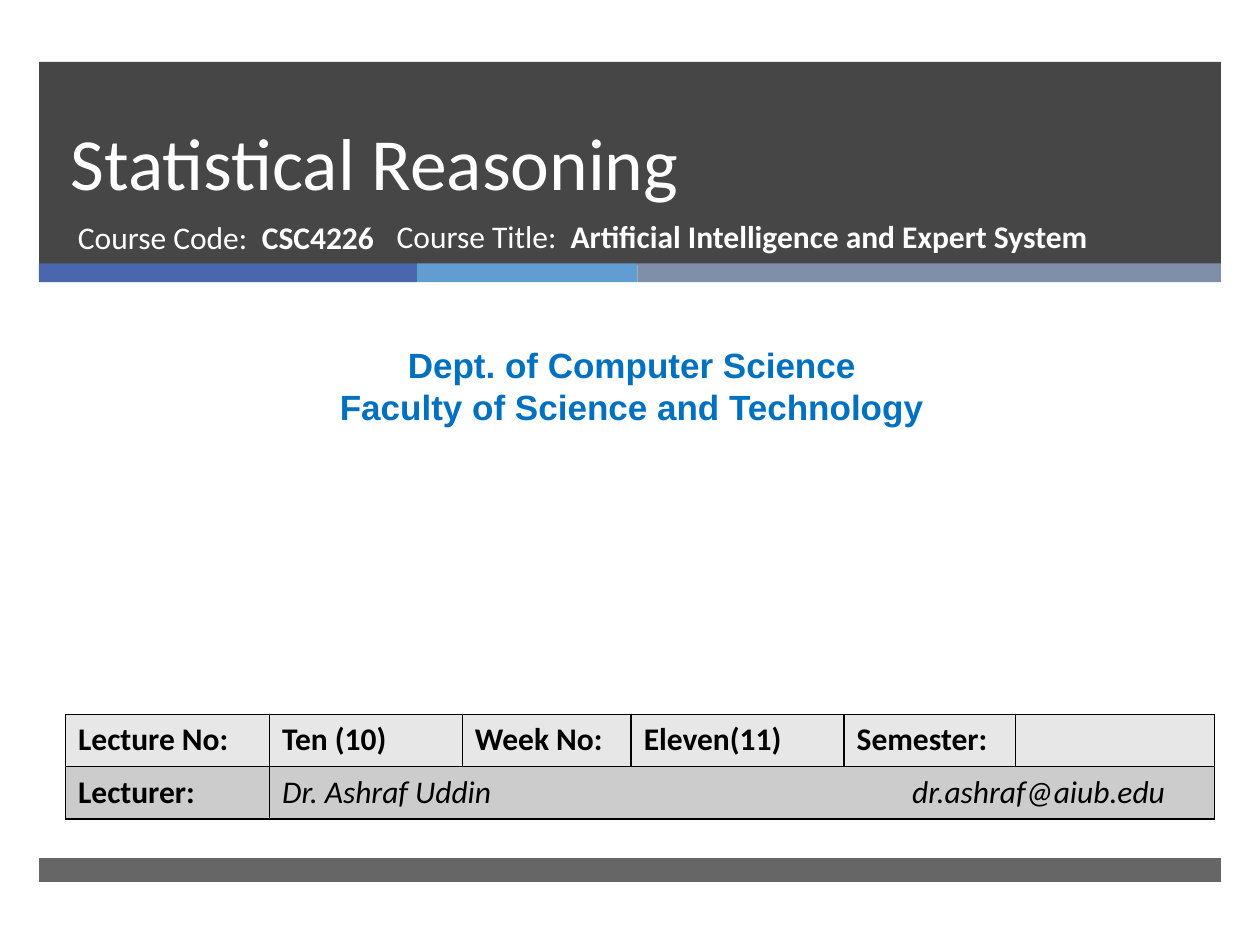
from lxml import etree
from pptx import Presentation, util as u
from pptx.dml.color import RGBColor
from pptx.enum import shapes, text
from pptx.oxml.ns import qn

PX = 9144  # EMU per px, 100 px to the inch
THEME = {
    "dark": "262626", "white": "FFFFFF", "black": "000000", "blue": "0070C0",
    "bars": ["4A66AC", "629DD1", "7F8FA9"], "rows": ["E7E7E7", "CCCCCC"],
    "body": "Calibri", "head": "Arial",
    "title": 42, "dept": 20, "text": 18,
}


def style(run, size, color, face=THEME["body"], bold=False, slant=False):
    font = run.font
    font.size, font.name = u.Pt(size), face
    font.bold, font.italic = bold, slant
    font.color.rgb = RGBColor.from_string(color)


def add_tab(para, pos):
    tabs = etree.SubElement(para._p.get_or_add_pPr(), qn("a:tabLst"))
    etree.SubElement(tabs, qn("a:tab"), pos=str(pos * PX), algn="l")


prs = Presentation()
prs.slide_width, prs.slide_height = 1000 * PX, 750 * PX
slide = prs.slides.add_slide(prs.slide_layouts[5])

# Bands: header, three accent bars, footer
bands = [(31, 49, 938, 161, THEME["dark"], 85)]
left = 31
for wide, color in zip((300, 175, 463), THEME["bars"]):
    bands.append((left, 209, wide, 15, color, 100))
    left += wide
bands.append((31, 681, 938, 19, THEME["dark"], 70))
for x, y, w, h, color, alpha in bands:
    band = slide.shapes.add_shape(shapes.MSO_SHAPE.RECTANGLE,
                                  x * PX, y * PX, w * PX, h * PX)
    band.shadow.inherit = False
    band.line.fill.background()
    band.fill.solid()
    band.fill.fore_color.rgb = RGBColor.from_string(color)
    if alpha < 100:
        tint = next(band.element.iter(qn("a:srgbClr")))
        etree.SubElement(tint, qn("a:alpha"), val=str(alpha * 1000))

# Title, raised above the header band
title = slide.shapes.title
title.element.getparent().append(title.element)
title.left, title.top, title.width, title.height = (
    n * PX for n in (46, 49, 854, 119))
frame = title.text_frame
frame.text = "Statistical Reasoning"
frame.word_wrap = True
frame.auto_size = text.MSO_AUTO_SIZE.NONE
frame.vertical_anchor = text.MSO_ANCHOR.BOTTOM
para = frame.paragraphs[0]
para.alignment = text.PP_ALIGN.LEFT
para.line_spacing = u.Pt(46)
style(para.runs[0], THEME["title"], THEME["white"])

# Course lines: label, tab, bold value
courses = [
    (52, 168, 305, 146, "Course Code:", "CSC4226"),
    (305, 167, 572, 138, "Course Title:",
     "Artificial Intelligence and Expert System"),
]
for x, y, w, stop, label, value in courses:
    box = slide.shapes.add_textbox(x * PX, y * PX, w * PX, 53 * PX)
    box.text_frame.word_wrap = True
    para = box.text_frame.paragraphs[0]
    add_tab(para, stop)
    for words, bold in ((label + "\t", False), (value, True)):
        run = para.add_run()
        run.text = words
        style(run, THEME["text"], THEME["white"], bold=bold)

# Department
dept = slide.shapes.add_textbox(8 * PX, 268 * PX, 987 * PX, 77 * PX)
frame = dept.text_frame
frame.word_wrap = True
frame.text = "Dept. of Computer Science\nFaculty of Science and Technology"
for para in frame.paragraphs:
    para.alignment = text.PP_ALIGN.CENTER
    style(para.runs[0], THEME["dept"], THEME["blue"], THEME["head"], True)

# Lecture table
data = [
    ["Lecture No:", "Ten (10)", "Week No:", "Eleven(11)", "Semester:", ""],
    ["Lecturer:", "Dr. Ashraf Uddin\tdr.ashraf@aiub.edu", "", "", "", ""],
]
table = slide.shapes.add_table(2, 6, 52 * PX, 567 * PX, 912 * PX, 83 * PX).table
table.first_row = table.horz_banding = False
for col, wide in zip(table.columns, (162, 153, 134, 169, 136, 158)):
    col.width = wide * PX
for r, line in enumerate(data):
    table.rows[r].height = 83 * PX // 2
    for c, words in enumerate(line):
        cell = table.cell(r, c)
        props = cell._tc.get_or_add_tcPr()
        for side in ("lnL", "lnR", "lnT", "lnB"):
            edge = etree.SubElement(props, qn("a:" + side), w=str(u.Pt(1)))
            fill = etree.SubElement(edge, qn("a:solidFill"))
            etree.SubElement(fill, qn("a:srgbClr"), val=THEME["black"])
        cell.fill.solid()
        cell.fill.fore_color.rgb = RGBColor.from_string(THEME["rows"][r])
        if words:
            para = cell.text_frame.paragraphs[0]
            named = "\t" in words
            if named:
                add_tab(para, 500)
            run = para.add_run()
            run.text = words
            style(run, THEME["text"], THEME["black"],
                  bold=not named, slant=named)
table.cell(1, 1).merge(table.cell(1, 5))

prs.save("out.pptx")
